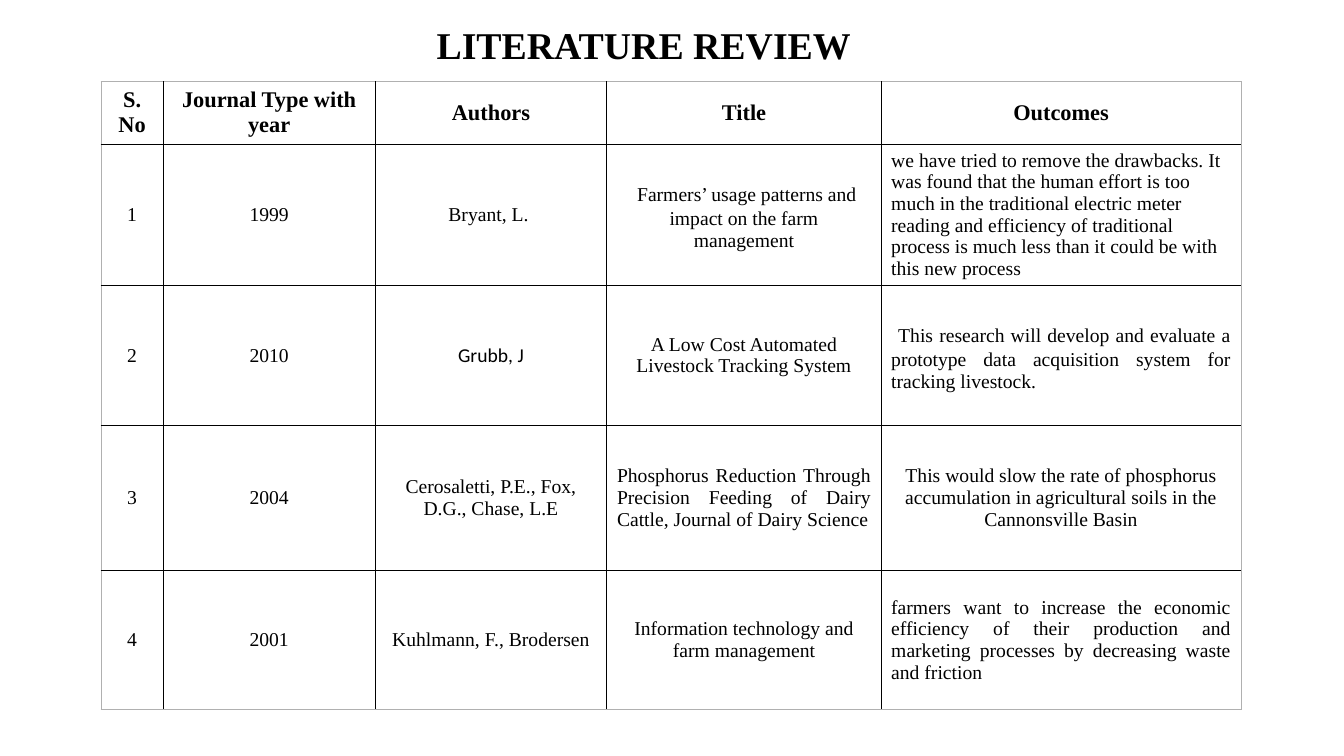
from lxml import etree
from pptx import Presentation
from pptx.dml.color import RGBColor
from pptx.enum import text
from pptx.oxml.ns import qn
from pptx.util import Inches, Pt

BLACK = RGBColor(0x00, 0x00, 0x00)
WHITE = RGBColor(0xFF, 0xFF, 0xFF)
GRAY = RGBColor(0xB0, 0xB0, 0xB0)
SERIF = "Times New Roman"
SANS = "Calibri"
LEFT, CENTER, JUSTIFY = text.PP_ALIGN.LEFT, text.PP_ALIGN.CENTER, text.PP_ALIGN.JUSTIFY

COLUMN_WIDTHS = [0.62, 2.1, 2.3, 2.72, 3.57]
ROW_HEIGHTS = [0.62, 1.39, 1.39, 1.44, 1.38]
ROWS = [
    ["S. No", "Journal Type with year", "Authors", "Title", "Outcomes"],
    ["1", "1999", "Bryant, L. ",
     "Farmers’ usage patterns and impact on the farm management",
     "we have tried to remove the drawbacks. It was found that the human effort "
     "is too much in the traditional electric meter reading and efficiency of "
     "traditional process is much less than it could be with this new process"],
    ["2", "2010", "Grubb, J", "A Low Cost Automated Livestock Tracking System",
     "This research will develop and evaluate a prototype data acquisition "
     "system for tracking livestock. "],
    ["3", "2004", "Cerosaletti, P.E., Fox, D.G., Chase, L.E",
     "Phosphorus Reduction Through Precision Feeding of Dairy Cattle, "
     "Journal of Dairy Science",
     "This would slow the rate of phosphorus accumulation in agricultural "
     "soils in the Cannonsville Basin"],
    ["4", "2001", "Kuhlmann, F., Brodersen",
     "Information technology and farm management",
     "farmers want to increase the economic efficiency of their production and "
     "marketing processes by decreasing waste and friction"],
]
# Cells, as (row, column), that differ from the centred serif default
ALIGNMENTS = {(1, 4): LEFT, (2, 4): JUSTIFY, (3, 3): JUSTIFY, (4, 4): JUSTIFY}
FONTS = {(2, 2): SANS}
LEADING_SPACES = {(1, 3), (2, 4)}


def add_run(paragraph, words, size, font_name=SERIF, bold=False):
    run = paragraph.add_run()
    run.text = words
    run.font.name = font_name
    run.font.size = Pt(size)
    run.font.bold = bold
    run.font.color.rgb = BLACK


def set_border(cell, side, color, width):
    """Draw one side (L, R, T or B) of a table cell."""
    line = etree.SubElement(cell._tc.get_or_add_tcPr(), qn(f"a:ln{side}"), w=str(Pt(width)))
    fill = etree.SubElement(line, qn("a:solidFill"))
    etree.SubElement(fill, qn("a:srgbClr"), val=str(color))


presentation = Presentation()
presentation.slide_width = Inches(13.33)
presentation.slide_height = Inches(7.5)
slide = presentation.slides.add_slide(presentation.slide_layouts[6])

title = slide.shapes.add_textbox(Inches(1.57), Inches(0.12), Inches(9.63), Inches(0.69))
title.text_frame.word_wrap = True
title.text_frame.vertical_anchor = text.MSO_ANCHOR.MIDDLE
heading = title.text_frame.paragraphs[0]
heading.alignment = CENTER
heading.line_spacing = 0.9
add_run(heading, "LITERATURE REVIEW", 27, bold=True)

table = slide.shapes.add_table(
    len(ROWS), len(COLUMN_WIDTHS), Inches(1), Inches(0.81),
    Inches(sum(COLUMN_WIDTHS)), Inches(sum(ROW_HEIGHTS))).table
table.first_row = False
table.horz_banding = False
for column, width in zip(table.columns, COLUMN_WIDTHS):
    column.width = Inches(width)
for row, height in zip(table.rows, ROW_HEIGHTS):
    row.height = Inches(height)

last_row, last_column = len(ROWS) - 1, len(COLUMN_WIDTHS) - 1
for r, row_texts in enumerate(ROWS):
    for c, words in enumerate(row_texts):
        cell = table.cell(r, c)
        outer_sides = {"L": c == 0, "R": c == last_column, "T": r == 0, "B": r == last_row}
        for side, is_outer in outer_sides.items():
            set_border(cell, side, GRAY if is_outer else BLACK, 0.5 if is_outer else 0.75)
        cell.fill.solid()
        cell.fill.fore_color.rgb = WHITE
        cell.vertical_anchor = text.MSO_ANCHOR.MIDDLE
        cell.margin_top = cell.margin_bottom = 0
        paragraph = cell.text_frame.paragraphs[0]
        paragraph.alignment = ALIGNMENTS.get((r, c), CENTER)
        if (r, c) in LEADING_SPACES:
            add_run(paragraph, " ", 18, SANS)
        add_run(paragraph, words, 16 if r == 0 else 14, FONTS.get((r, c), SERIF), bold=r == 0)

presentation.save("out.pptx")
